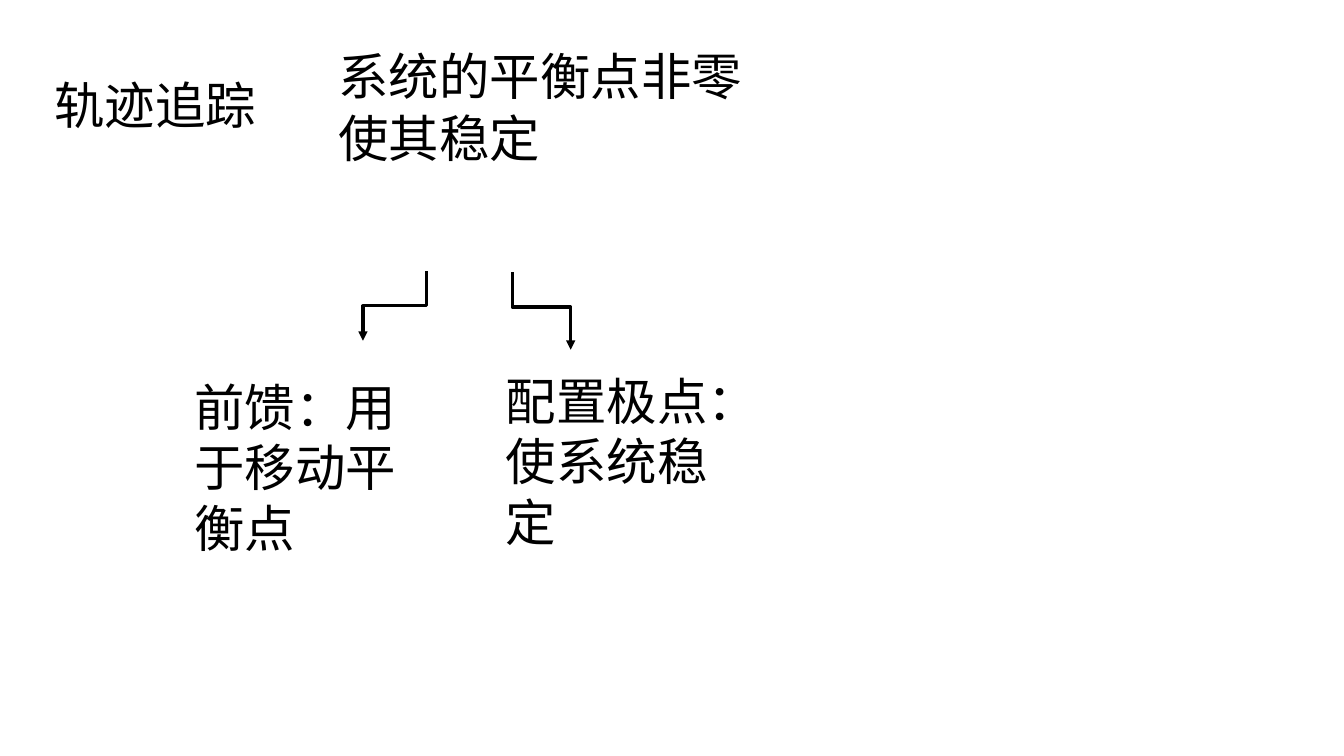
"""Trajectory tracking slide: feedforward and pole placement."""
from dataclasses import dataclass

from lxml import etree
from pptx import Presentation
from pptx import util as u
from pptx.dml.color import RGBColor
from pptx.enum import shapes, text
from pptx.oxml.ns import qn


@dataclass(frozen=True)
class Theme:
    """Colours, font and sizes of the slide."""

    ink: RGBColor = RGBColor(0, 0, 0)
    font: str = "Noto Sans CJK SC"
    size: float = 36
    line: float = 2.25


def write(frame, words, *, font, size, color):
    """Write one formatted run into a text frame."""
    run = frame.paragraphs[0].add_run()
    run.text = words
    run.font.name, run.font.size = font, u.Pt(size)
    run.font.color.rgb = color
    etree.SubElement(run.font._element, qn("a:ea"), typeface=font)


class Board:
    """A slide together with its style."""

    def __init__(self, slide, theme):
        """Keep the slide and its theme."""
        self.slide, self.theme = slide, theme

    def label(self, words, left, top, width, height):
        """Add a wrapping label."""
        box = self.slide.shapes.add_textbox(*map(u.Inches, (left, top, width, height)))
        frame = box.text_frame
        frame.word_wrap = True
        frame.auto_size = text.MSO_AUTO_SIZE.SHAPE_TO_FIT_TEXT
        write(frame, words, font=self.theme.font, size=self.theme.size, color=self.theme.ink)

    def branch(self, start, end, bend=0.5):
        """Add an elbow arrow that leaves and arrives vertically."""
        (x1, y1), (x2, y2) = start, end
        mid_x, mid_y = (x1 + x2) / 2, (y1 + y2) / 2
        across, down = (x2 - x1) / 2, (y2 - y1) / 2
        reach = down if across > 0 else -down
        corners = (mid_x + reach, mid_y - abs(across), mid_x - reach, mid_y + abs(across))
        arrow = self.slide.shapes.add_connector(
            shapes.MSO_CONNECTOR.ELBOW, *map(u.Inches, corners))
        arrow.line.color.rgb = self.theme.ink
        arrow.line.width = u.Pt(self.theme.line)
        props = arrow._element.spPr
        turn = 270 if across > 0 else 90
        props.find(qn("a:xfrm")).set("rot", str(turn * 60000))
        etree.SubElement(props.find(".//" + qn("a:avLst")), qn("a:gd"),
                         name="adj1", fmla=f"val {round(bend * 100000)}")
        etree.SubElement(props.find(qn("a:ln")), qn("a:tailEnd"), type="triangle")
        etree.SubElement(props, qn("a:effectLst"))


def main():
    """Build and save the slide."""
    deck = Presentation()
    deck.slide_width, deck.slide_height = u.Inches(13.33), u.Inches(7.5)
    board = Board(deck.slides.add_slide(deck.slide_layouts[6]), Theme())

    narrow, one_line, three_lines = 2.4, 0.71, 1.92
    goal_left = 3.26
    board.label("轨迹追踪", 0.44, 0.69, narrow, one_line)
    board.label("系统的平衡点非零", goal_left, 0.4, 4.43, one_line)
    board.label("使其稳定", goal_left, 1.01, narrow, one_line)
    board.label("前馈：用于移动平衡点", 1.83, 3.68, narrow, three_lines)
    board.label("配置极点：使系统稳定", 4.92, 3.62, narrow, three_lines)

    board.branch((4.23, 2.69), (3.6, 3.38))
    board.branch((5.08, 2.7), (5.66, 3.47), bend=0.45)
    deck.save("out.pptx")


if __name__ == "__main__":
    main()
